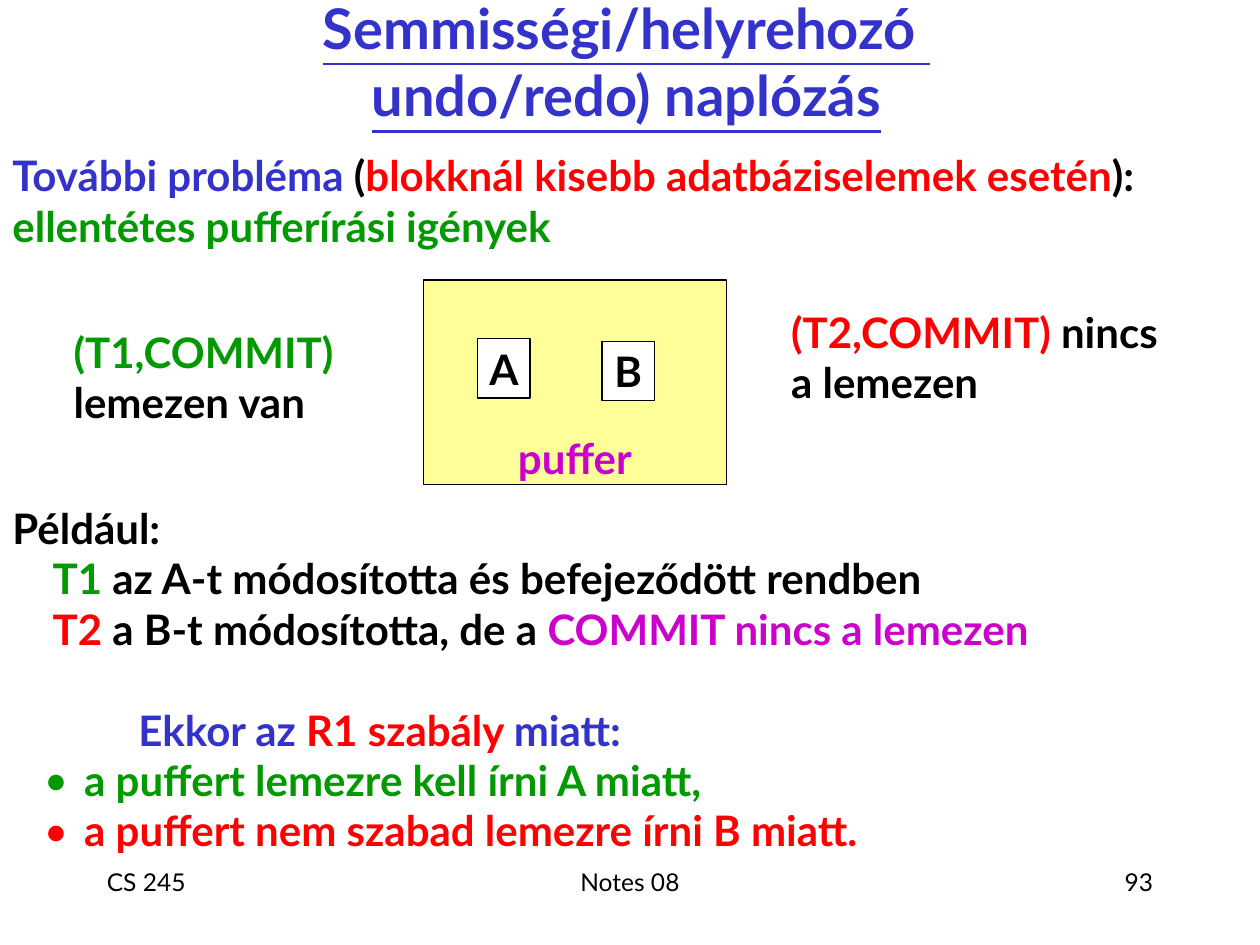
from lxml.etree import SubElement
from pptx import Presentation
from pptx.dml.color import RGBColor as RGB
from pptx.enum.shapes import MSO_SHAPE as SHAPE
from pptx.enum.text import MSO_ANCHOR as ANCHOR, PP_ALIGN as ALIGN
from pptx.oxml.ns import qn
from pptx.util import Pt

COLORS = {
    "blue": "3333CC", "red": "FF0000", "green": "009900", "purple": "CC00CC",
    "black": "000000", "yellow": "FFFF99", "white": "FFFFFF",
}
FONT = "Lato"
LINE = 28.8  # height of one 24 pt line

# Content: a paragraph is a list of (text, color) runs
TITLE = [[("Semmisségi/helyrehozó \vundo/redo) naplózás", "blue")]]
BODY = [  # (runs, paragraph format)
    ([("További probléma ", "blue"), ("(", "black"),
      ("blokknál kisebb adatbáziselemek esetén", "red"), ("): ", "black"),
      ("ellentétes pufferírási igények", "green")], {}),
    ([("Például:", "black")], {"before": 5 * LINE}),
    ([("T1", "green"),
      (" az A-t módosította és befejeződött rendben", "black")], {"left": 23}),
    ([("T2", "red"), (" a B-t módosította, de a ", "black"),
      ("COMMIT nincs a lemezen", "purple")], {"left": 23}),
    ([("Ekkor az ", "blue"), ("R1 szabály ", "red"), ("miatt:", "blue")],
     {"before": LINE, "left": 72}),
    ([("a puffert lemezre kell írni A miatt,", "green")],
     {"left": 41, "bullet": "green"}),
    ([("a puffert nem szabad lemezre írni B miatt.", "red")],
     {"left": 41, "bullet": "red"}),
]
BOXES = [  # label, fill, position, label color, anchor
    ("puffer", "yellow", (242, 160, 173, 117), "purple", ANCHOR.BOTTOM),
    ("A", "white", (273, 193.5, 30, 34), "black", ANCHOR.MIDDLE),
    ("B", "white", (344, 195, 30, 34), "black", ANCHOR.MIDDLE),
]
NOTES = [
    ([("(T1,COMMIT) ", "green"), ("lemezen van", "black")], (35, 183, 180, 65)),
    ([("(T2,COMMIT) ", "red"), ("nincs a lemezen", "black")], (445, 171.5, 227, 65)),
]
FOOTER = [  # text, left, width, alignment
    ("CS 245", 54, 150, ALIGN.LEFT),
    ("Notes 08", 246, 228, ALIGN.CENTER),
    ("93", 516, 150, ALIGN.RIGHT),
]


def color(name):
    return RGB.from_string(COLORS[name])


def write(sp, paragraphs, size=24, bold=True, underline=False,
          align=ALIGN.LEFT, anchor=ANCHOR.TOP, wrap=True, formats=None):
    """Fill a shape with paragraphs of colored runs."""
    tf = sp.text_frame
    tf.word_wrap, tf.vertical_anchor = wrap, anchor
    for i, runs in enumerate(paragraphs):
        p = tf.add_paragraph() if i else tf.paragraphs[0]
        p.alignment = align
        if formats:
            indent(p, **formats[i])
        for text, name in runs:
            for j, part in enumerate(text.split("\v")):
                if j:
                    p.add_line_break()
                r = p.add_run()
                r.text = part
                r.font.name, r.font.size = FONT, Pt(size)
                r.font.bold, r.font.underline = bold, underline
                r.font.color.rgb = color(name)


def indent(p, before=0, left=0, bullet=None):
    """Set spacing, left margin and an optional colored bullet."""
    p.space_before = Pt(before)
    pPr = p._p.get_or_add_pPr()
    pPr.set("marL", str(Pt(left)))
    pPr.set("indent", str(Pt(-23 if bullet else 0)))
    if bullet:
        clr = SubElement(pPr, qn("a:buClr"))
        SubElement(clr, qn("a:srgbClr"), val=COLORS[bullet])
        SubElement(pPr, qn("a:buFont"), typeface=FONT)
        SubElement(pPr, qn("a:buChar"), char="•")


def text_box(s, position, paragraphs, **fmt):
    write(s.shapes.add_textbox(*map(Pt, position)), paragraphs, **fmt)


def main():
    prs = Presentation()
    prs.slide_width, prs.slide_height = Pt(720), Pt(540)
    s = prs.slides.add_slide(prs.slide_layouts[6])

    # Title and body
    text_box(s, (52, 12, 612, 45.5), TITLE, size=32, underline=True,
             align=ALIGN.CENTER, anchor=ANCHOR.MIDDLE)
    runs, formats = zip(*BODY)
    text_box(s, (0, 82, 708, 410), runs, formats=formats)

    # Buffer with its two elements
    for label, fill, position, name, anchor in BOXES:
        sp = s.shapes.add_shape(SHAPE.RECTANGLE, *map(Pt, position))
        sp.shadow.inherit = False
        sp.fill.solid()
        sp.fill.fore_color.rgb = color(fill)
        sp.line.color.rgb = color("black")
        sp.line.width = Pt(0.75)
        sp.text_frame.margin_bottom = Pt(1 if anchor == ANCHOR.BOTTOM else 3.6)
        write(sp, [[(label, name)]], align=ALIGN.CENTER, anchor=anchor, wrap=False)

    # Side notes
    for note, position in NOTES:
        text_box(s, position, [note])

    # Footer
    for text, left, width, align in FOOTER:
        text_box(s, (left, 492, width, 36), [[(text, "black")]],
                 size=14, bold=False, align=align)

    prs.save("out.pptx")


if __name__ == "__main__":
    main()
